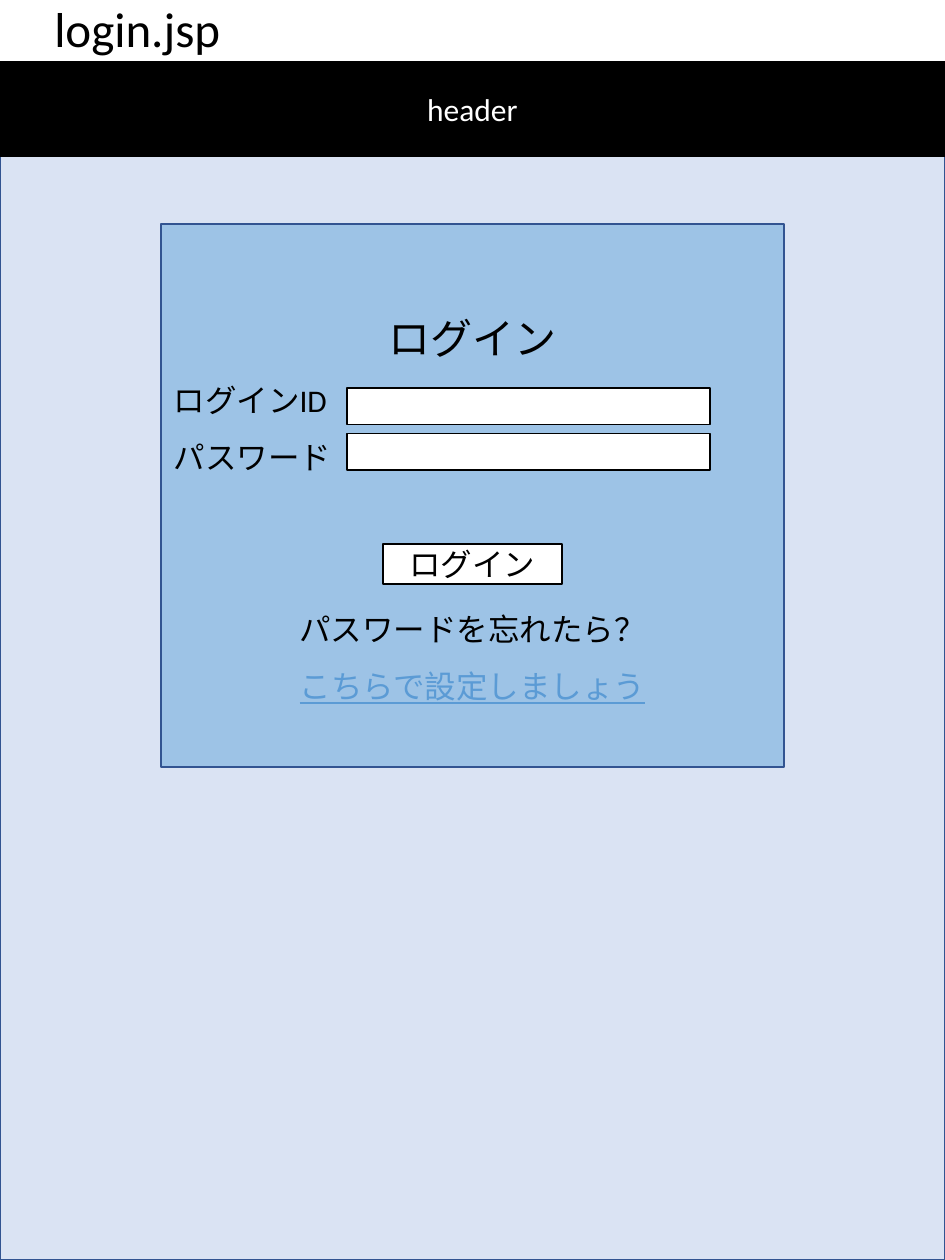
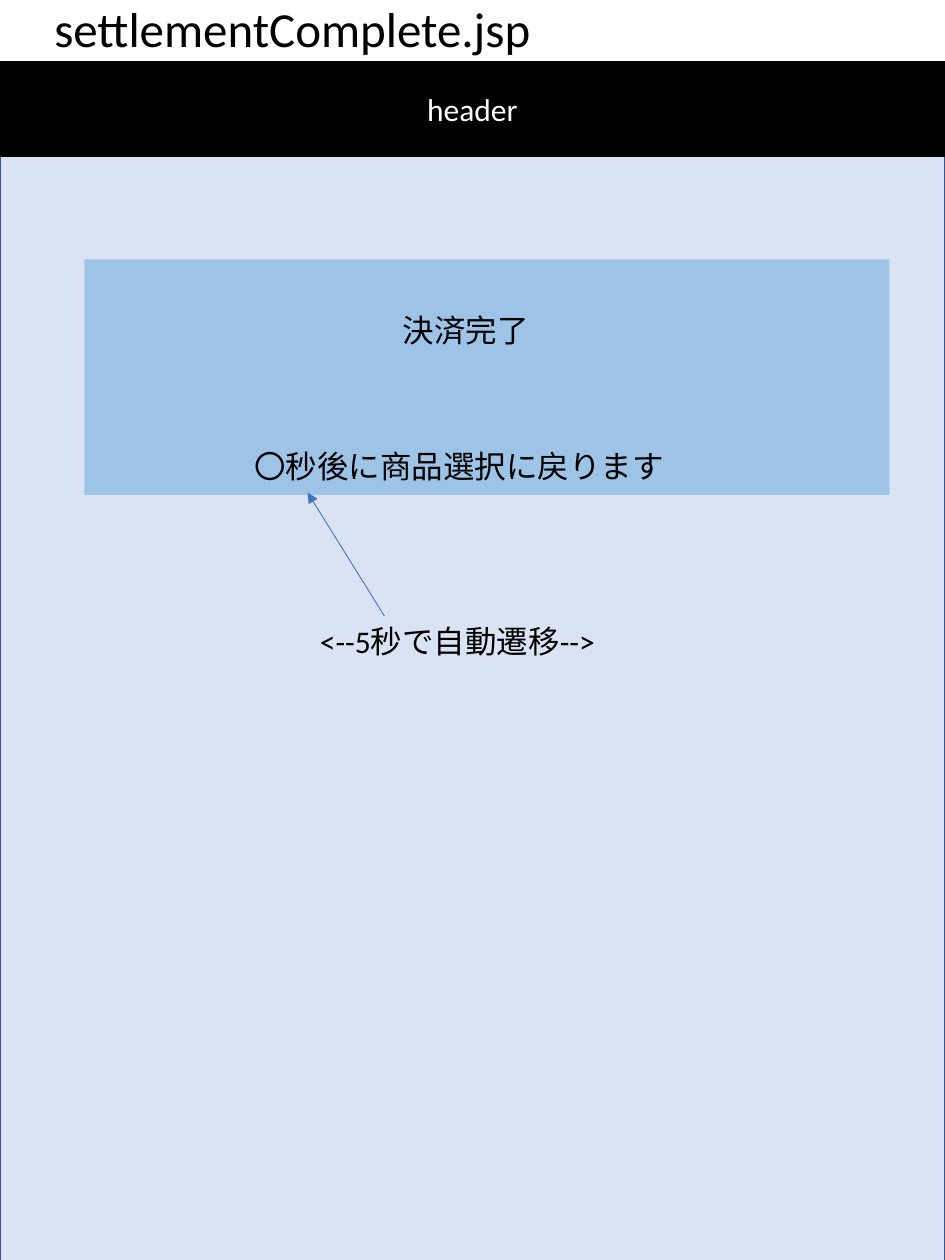
from dataclasses import dataclass
from typing import Optional

from lxml import etree
from pptx import Presentation
from pptx.dml.color import RGBColor
from pptx.enum.shapes import MSO_CONNECTOR, MSO_SHAPE
from pptx.enum.text import MSO_ANCHOR, MSO_AUTO_SIZE, PP_ALIGN
from pptx.oxml.ns import qn
from pptx.slide import Slide
from pptx.text.text import TextFrame
from pptx.util import Cm, Pt

RECT = MSO_SHAPE.RECTANGLE
STRAIGHT = MSO_CONNECTOR.STRAIGHT
TOP, MIDDLE = MSO_ANCHOR.TOP, MSO_ANCHOR.MIDDLE
GROW = MSO_AUTO_SIZE.SHAPE_TO_FIT_TEXT
LEFT, CENTER = PP_ALIGN.LEFT, PP_ALIGN.CENTER

BLACK = RGBColor(0x00, 0x00, 0x00)
WHITE = RGBColor(0xFF, 0xFF, 0xFF)
PALE = RGBColor(0xDA, 0xE3, 0xF3)
SKY = RGBColor(0x9D, 0xC3, 0xE6)
NAVY = RGBColor(0x32, 0x54, 0x91)
LINK = RGBColor(0x5B, 0x9B, 0xD5)
ARROW = RGBColor(0x44, 0x72, 0xC4)

FONT = "Calibri"
WIDTH, HEIGHT = 19.05, 25.4
TITLE_ONLY = 5


@dataclass
class Line:
    text: str
    align: PP_ALIGN = CENTER
    size: int = 18
    color: RGBColor = BLACK
    under: bool = False
    before: int = 0


@dataclass
class Box:
    """A rectangle in centimetres."""
    left: float
    top: float
    width: float
    height: float
    fill: RGBColor
    edge: Optional[RGBColor] = None
    lines: tuple[Line, ...] = ()
    pitch: float = 1.0


@dataclass
class Label:
    left: float
    top: float
    width: float
    line: Line


def write(frame: TextFrame, lines: tuple[Line, ...], pitch: float = 1.0) -> None:
    frame.word_wrap = True
    frame.text = "\n".join(line.text for line in lines)
    for para, line in zip(frame.paragraphs, lines):
        para.alignment = line.align
        para.line_spacing = pitch
        para.space_before = Pt(line.before)
        for run in para.runs:
            run.font.name = FONT
            run.font.size = Pt(line.size)
            run.font.color.rgb = line.color
            if line.under:
                run.font.underline = True


def draw_box(slide: Slide, box: Box) -> None:
    shape = slide.shapes.add_shape(
        RECT, Cm(box.left), Cm(box.top), Cm(box.width), Cm(box.height))
    shape.shadow.inherit = False
    shape.fill.solid()
    shape.fill.fore_color.rgb = box.fill
    if box.edge is None:
        shape.line.fill.background()
    else:
        shape.line.color.rgb = box.edge
        shape.line.width = Pt(1)
    if box.lines:
        shape.text_frame.vertical_anchor = MIDDLE
        write(shape.text_frame, box.lines, box.pitch)


def draw_label(slide: Slide, label: Label) -> None:
    shape = slide.shapes.add_textbox(
        Cm(label.left), Cm(label.top), Cm(label.width), Cm(1.02))
    write(shape.text_frame, (label.line,))
    shape.text_frame.auto_size = GROW


def draw_arrow(slide: Slide, x1: float, y1: float, x2: float, y2: float) -> None:
    arrow = slide.shapes.add_connector(STRAIGHT, Cm(x1), Cm(y1), Cm(x2), Cm(y2))
    arrow.line.color.rgb = ARROW
    arrow.line.width = Pt(0.5)
    etree.SubElement(arrow.line._get_or_add_ln(), qn("a:tailEnd"), type="triangle")
    etree.SubElement(arrow._element.spPr, qn("a:effectLst"))


def add_page(deck: Presentation, name: str, width: float, top: float) -> Slide:
    """Add a slide with its file name, page area and header band."""
    slide = deck.slides.add_slide(deck.slide_layouts[TITLE_ONLY])
    title = slide.shapes.title
    title.left, title.top = Cm(0.84), Cm(-0.15)
    title.width, title.height = Cm(width), Cm(1.45)
    title.text_frame.vertical_anchor = TOP
    title.text_frame.auto_size = GROW
    write(title.text_frame, (Line(name, LEFT, 28),))
    draw_box(slide, Box(0, top, WIDTH, 23.55, PALE, NAVY))
    draw_box(slide, Box(0, 1.24, WIDTH, 1.91, BLACK, BLACK,
                        (Line("header", color=WHITE),)))
    return slide


def add_login(deck: Presentation) -> None:
    slide = add_page(deck, "login.jsp", 13.03, 1.85)
    form = (
        Line("ログイン", size=24),
        Line("ログインID", LEFT),
        Line("パスワード", LEFT),
        Line("パスワードを忘れたら？", before=66),
        Line("こちらで設定しましょう", color=LINK, under=True),
    )
    draw_box(slide, Box(3.25, 4.52, 12.55, 10.95, SKY, NAVY, form, 1.5))
    for top in (7.82, 8.74):
        draw_box(slide, Box(6.99, top, 7.32, 0.74, WHITE, BLACK))
    draw_box(slide, Box(7.72, 10.97, 3.61, 0.81, WHITE, BLACK, (Line("ログイン"),)))


def add_complete(deck: Presentation) -> None:
    slide = add_page(deck, "settlementComplete.jsp", 17.09, 1.91)
    draw_box(slide, Box(1.7, 5.23, 16.23, 4.75, SKY))
    for label in (
        Label(0.84, 6.15, 17.09, Line("決済完了")),
        Label(4.88, 8.89, 12.85, Line("〇秒後に商品選択に戻ります", LEFT)),
        Label(6.2, 12.42, 12.85, Line("<--5秒で自動遷移-->", LEFT)),
    ):
        draw_label(slide, label)
    draw_arrow(slide, 7.75, 12.42, 6.2, 9.93)


def main() -> None:
    deck = Presentation()
    deck.slide_width, deck.slide_height = Cm(WIDTH), Cm(HEIGHT)
    add_login(deck)
    add_complete(deck)
    deck.save("out.pptx")


if __name__ == "__main__":
    main()
